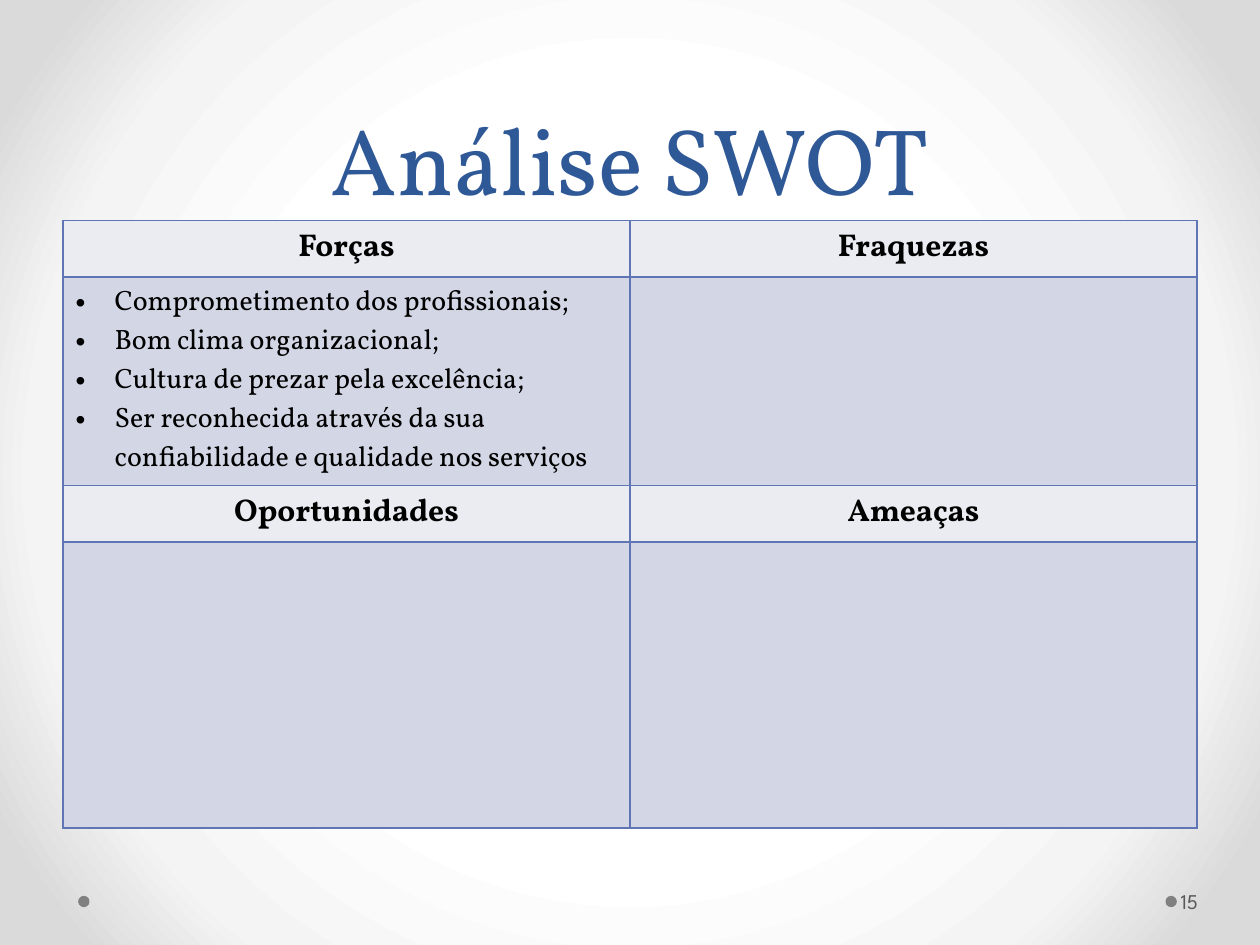
from lxml import etree
from pptx import Presentation
from pptx.dml.color import RGBColor
from pptx.enum import shapes, text
from pptx.oxml import parse_xml
from pptx.oxml.ns import nsdecls, qn
from pptx.util import Inches, Pt

TITLE = "Análise SWOT"
PAGE = "15"
QUADRANTS = [
    [("Forças", ["Comprometimento dos profissionais;",
                 "Bom clima organizacional;",
                 "Cultura de prezar pela excelência;",
                 "Ser reconhecida através da sua confiabilidade e qualidade nos serviços"]),
     ("Fraquezas", [])],
    [("Oportunidades", []), ("Ameaças", [])],
]
ROW_HEIGHTS = [0.45, 1.65, 0.45, 2.27]
COLORS = {"title": "2F5897", "text": "000000", "head": "EAECF2", "body": "D2D6E5",
          "border": "6076B4", "dot": "808080", "page": "595959"}
GRADIENT = [(50, "FFFFFF"), (76, "F4F4F4"), (92, "DADADA")]
SERIF, SANS = "Vollkorn", "League Spartan"


def rgb(name):
    return RGBColor.from_string(COLORS[name])


def format_runs(p, font, size, color, bold=False):
    for r in p.runs:
        r.font.name, r.font.size, r.font.bold = font, Pt(size), bold
        r.font.color.rgb = rgb(color)


def set_background(s):
    """Fill the slide with a circular gradient around its centre."""
    s.background.fill.solid()
    bg_pr = s.background._cSld.bg.bgPr
    stops = "".join(f'<a:gs pos="{pos * 1000}"><a:srgbClr val="{c}"/></a:gs>'
                    for pos, c in GRADIENT)
    grad = parse_xml(
        f'<a:gradFill {nsdecls("a")} rotWithShape="1"><a:gsLst>{stops}</a:gsLst>'
        '<a:path path="circle"><a:fillToRect l="50000" t="50000" r="50000" b="50000"/>'
        '</a:path></a:gradFill>')
    bg_pr.replace(bg_pr.find(qn("a:solidFill")), grad)


def style_cell(cell, fill):
    cell.fill.solid()
    cell.fill.fore_color.rgb = rgb(fill)
    tc_pr = cell._tc.get_or_add_tcPr()
    for i, side in enumerate("LRTB"):
        tc_pr.insert(i, parse_xml(
            f'<a:ln{side} {nsdecls("a")} w="12700"><a:solidFill>'
            f'<a:srgbClr val="{COLORS["border"]}"/></a:solidFill></a:ln{side}>'))


def add_bullet(p):
    p_pr = p._p.get_or_add_pPr()
    indent = Inches(0.31)
    p_pr.set("marL", str(indent))
    p_pr.set("indent", str(-indent))
    etree.SubElement(p_pr, qn("a:buFont")).set("typeface", "Arial")
    etree.SubElement(p_pr, qn("a:buChar")).set("char", "•")


def add_swot_table(s):
    table = s.shapes.add_table(len(ROW_HEIGHTS), 2, Inches(0.5), Inches(1.75),
                               Inches(9), Inches(sum(ROW_HEIGHTS))).table
    table.first_row = table.horz_banding = False
    for row, height in zip(table.rows, ROW_HEIGHTS):
        row.height = Inches(height)
    for i, pair in enumerate(QUADRANTS):
        for col, (heading, items) in enumerate(pair):
            head, body = table.cell(2 * i, col), table.cell(2 * i + 1, col)
            style_cell(head, "head")
            style_cell(body, "body")
            head.text_frame.text = heading
            p = head.text_frame.paragraphs[0]
            p.alignment = text.PP_ALIGN.CENTER
            format_runs(p, SERIF, 18, "text", bold=True)
            if items:
                body.text_frame.text = "\n".join(items)
                for p in body.text_frame.paragraphs:
                    add_bullet(p)
                    format_runs(p, SERIF, 16, "text")


def add_title(s):
    sp = s.shapes.title
    sp.left, sp.top, sp.width, sp.height = map(Inches, (0.5, 0, 9, 1.75))
    tf = sp.text_frame
    tf.text = TITLE
    tf.auto_size = text.MSO_AUTO_SIZE.NONE
    tf.vertical_anchor = text.MSO_ANCHOR.BOTTOM
    p = tf.paragraphs[0]
    p.alignment = text.PP_ALIGN.CENTER
    p.line_spacing = Pt(58)
    format_runs(p, SERIF, 54, "title")


def add_footer(s):
    for left in (9.25, 0.62):
        dot = s.shapes.add_shape(shapes.MSO_SHAPE.OVAL, Inches(left), Inches(7.11),
                                 Inches(0.09), Inches(0.09))
        dot.shadow.inherit = False
        dot.fill.solid()
        dot.fill.fore_color.rgb = rgb("dot")
        dot.line.fill.background()
    tf = s.shapes.add_textbox(Inches(9.34), Inches(6.95), Inches(0.61), Inches(0.4)).text_frame
    tf.text = PAGE
    tf.word_wrap = True
    tf.vertical_anchor = text.MSO_ANCHOR.MIDDLE
    tf.margin_left = Inches(0.03)
    tf.margin_right = tf.margin_top = tf.margin_bottom = Inches(0.05)
    format_runs(tf.paragraphs[0], SANS, 12, "page")


def main():
    prs = Presentation()
    prs.slide_width, prs.slide_height = Inches(10), Inches(7.5)
    s = prs.slides.add_slide(prs.slide_layouts[5])
    set_background(s)
    add_title(s)
    add_swot_table(s)
    add_footer(s)
    prs.save("out.pptx")


if __name__ == "__main__":
    main()
